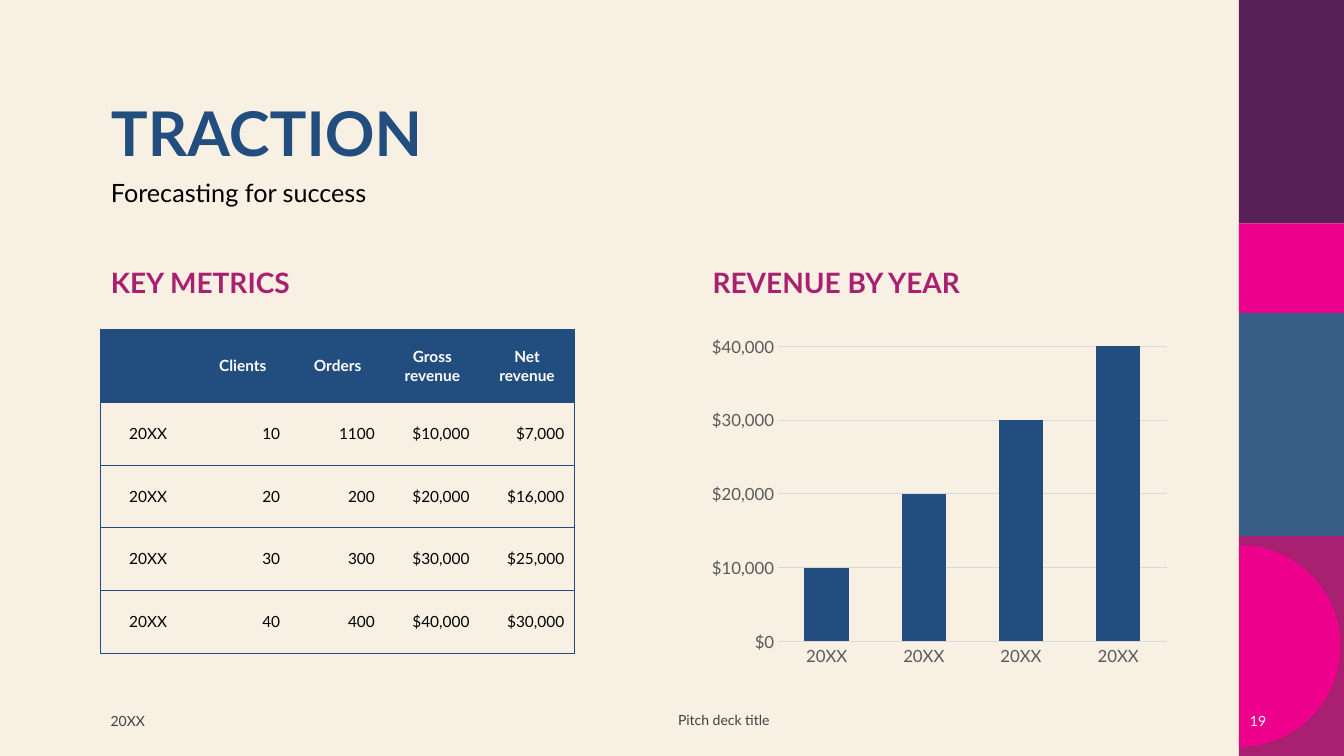
import math

from lxml import etree
from pptx import Presentation
from pptx.chart.data import CategoryChartData
from pptx.dml.color import RGBColor
from pptx.enum.chart import XL_CHART_TYPE, XL_TICK_MARK
from pptx.enum.shapes import MSO_SHAPE
from pptx.enum.text import MSO_ANCHOR, MSO_AUTO_SIZE, PP_ALIGN
from pptx.oxml.ns import qn
from pptx.util import Pt

COLUMNS = XL_CHART_TYPE.COLUMN_CLUSTERED
NO_TICK = XL_TICK_MARK.NONE
RECTANGLE = MSO_SHAPE.RECTANGLE
TOP, MIDDLE = MSO_ANCHOR.TOP, MSO_ANCHOR.MIDDLE
NO_AUTOFIT = MSO_AUTO_SIZE.NONE
LEFT, CENTER, RIGHT = PP_ALIGN.LEFT, PP_ALIGN.CENTER, PP_ALIGN.RIGHT

FONT = "Lato"
COLORS = {
    "cream": "F8F0E3",
    "navy": "224E7F",
    "blue": "385E88",
    "plum": "582156",
    "pink": "EC008C",
    "berry": "AA2070",
    "black": "000000",
    "white": "FFFFFF",
    "footer": "404040",
    "axis": "595959",
    "grid": "D9D9D9",
}
METRICS = [
    ["", "Clients", "Orders", "Gross revenue", "Net revenue"],
    ["20XX", "10", "1100", "$10,000", "$7,000"],
    ["20XX", "20", "200", "$20,000", "$16,000"],
    ["20XX", "30", "300", "$30,000", "$25,000"],
    ["20XX", "40", "400", "$40,000", "$30,000"],
]
REVENUE = [10000, 20000, 30000, 40000]


def color(name):
    return RGBColor.from_string(COLORS[name])


class SlideBuilder:
    def __init__(self, slide):
        self.slide = slide
        fill = slide.background.fill
        fill.solid()
        fill.fore_color.rgb = color("cream")

    def style_font(self, font, size, name, bold=False):
        font.name = FONT
        font.size = Pt(size)
        font.bold = bold
        font.color.rgb = color(name)

    def set_text(self, frame, text, size, name, bold=False, align=LEFT):
        frame.text = text
        paragraph = frame.paragraphs[0]
        paragraph.alignment = align
        for run in paragraph.runs:
            self.style_font(run.font, size, name, bold)
        return paragraph

    def fit_frame(self, frame, anchor):
        frame.word_wrap = True
        frame.auto_size = NO_AUTOFIT
        frame.vertical_anchor = anchor

    def placeholder(self, index, box, text, size, name, bold=True, anchor=MIDDLE):
        shape = self.slide.placeholders[index]
        shape.left, shape.top, shape.width, shape.height = map(Pt, box)
        self.fit_frame(shape.text_frame, anchor)
        paragraph = self.set_text(shape.text_frame, text, size, name, bold)
        paragraph.line_spacing = 0.9
        paragraph.space_before = Pt(0 if index == 0 else 10)
        properties = paragraph._p.get_or_add_pPr()
        properties.set("marL", "0")
        properties.set("indent", "0")
        etree.SubElement(properties, qn("a:buNone"))

    def text_box(self, box, text, name, align):
        shape = self.slide.shapes.add_textbox(*map(Pt, box))
        self.fit_frame(shape.text_frame, MIDDLE)
        self.set_text(shape.text_frame, text, 10, name, align=align)

    def paint(self, shape, name):
        shape.shadow.inherit = False
        shape.fill.solid()
        shape.fill.fore_color.rgb = color(name)
        shape.line.fill.background()

    def block(self, box, name):
        self.paint(self.slide.shapes.add_shape(RECTANGLE, *map(Pt, box)), name)

    def half_disc(self, left, middle, radius, name, steps=60):
        angles = [math.pi * (step / steps - 0.5) for step in range(steps + 1)]
        points = [
            (Pt(left + radius * math.cos(angle)), Pt(middle + radius * math.sin(angle)))
            for angle in angles
        ]
        builder = self.slide.shapes.build_freeform(*points[0])
        builder.add_line_segments(points[1:], close=True)
        self.paint(builder.convert_to_shape(), name)

    def border(self, cell, side, visible):
        line = etree.SubElement(cell._tc.get_or_add_tcPr(), qn(f"a:ln{side}"))
        line.set("w", str(Pt(0.5)))
        if visible:
            fill = etree.SubElement(line, qn("a:solidFill"))
            etree.SubElement(fill, qn("a:srgbClr")).set("val", COLORS["navy"])
        else:
            etree.SubElement(line, qn("a:noFill"))

    def table(self, box, rows, header_height):
        row_count, column_count = len(rows), len(rows[0])
        body_height = (box[3] - header_height) / (row_count - 1)
        table = self.slide.shapes.add_table(row_count, column_count, *map(Pt, box)).table
        table.horz_banding = False
        for column in table.columns:
            column.width = Pt(box[2] / column_count)
        for row_index, values in enumerate(rows):
            header = row_index == 0
            table.rows[row_index].height = Pt(header_height if header else body_height)
            for column_index, value in enumerate(values):
                cell = table.cell(row_index, column_index)
                align = CENTER if header or column_index == 0 else RIGHT
                name = "white" if header else "black"
                self.set_text(cell.text_frame, value, 11, name, header, align)
                cell.vertical_anchor = MIDDLE
                self.border(cell, "L", column_index == 0)
                self.border(cell, "R", column_index == column_count - 1)
                self.border(cell, "T", True)
                self.border(cell, "B", True)
                if header:
                    cell.fill.solid()
                    cell.fill.fore_color.rgb = color("navy")
                else:
                    cell.fill.background()

    def column_chart(self, box, categories, values):
        data = CategoryChartData()
        data.categories = categories
        data.add_series("Series 1", values)
        chart = self.slide.shapes.add_chart(COLUMNS, *map(Pt, box), data).chart
        chart.has_legend = False
        chart.has_title = False
        self.style_font(chart.font, 10, "black")

        plot = chart.plots[0]
        plot.vary_by_categories = False
        plot.gap_width = 118
        plot.overlap = -3
        fill = plot.series[0].format.fill
        fill.solid()
        fill.fore_color.rgb = color("navy")

        category_axis, value_axis = chart.category_axis, chart.value_axis
        for axis in (category_axis, value_axis):
            axis.major_tick_mark = NO_TICK
            axis.minor_tick_mark = NO_TICK
            self.style_font(axis.tick_labels.font, 12, "axis")
        value_axis.minimum_scale = 0
        value_axis.maximum_scale = 40000
        value_axis.major_unit = 10000
        value_axis.tick_labels.number_format = "[$$-409]#,##0"
        value_axis.tick_labels.number_format_is_linked = False
        value_axis.format.line.fill.background()
        for line in (category_axis.format.line, value_axis.major_gridlines.format.line):
            line.color.rgb = color("grid")
            line.width = Pt(0.75)


def main():
    presentation = Presentation()
    presentation.slide_width, presentation.slide_height = Pt(960), Pt(540)
    slide = presentation.slides.add_slide(presentation.slide_layouts[4])
    unused = slide.placeholders[4]._element
    unused.getparent().remove(unused)
    builder = SlideBuilder(slide)

    band_left, band_top = 885, 0
    for name, height in (("plum", 159.5), ("pink", 64), ("blue", 159.5), ("berry", 157)):
        builder.block((band_left, band_top, 960 - band_left, height), name)
        band_top += height
    builder.half_disc(885.5, 461.5, 72, "pink")

    left, right, width = 72, 501.8, 338.4
    builder.placeholder(0, (left, 70.5, 718.5, 104.5), "TRACTION", 44, "navy", anchor=TOP)
    builder.placeholder(2, (left, 125.3, 718.5, 47.5), "Forecasting for success", 18, "black", False, TOP)
    builder.placeholder(1, (left, 185.5, width, 36), "KEY METRICS", 20, "berry")
    builder.placeholder(3, (right, 185.5, width, 36), "REVENUE BY YEAR", 20, "berry")

    builder.table((left, 235.4, width, 231), METRICS, 52)
    builder.column_chart((right, 235.4, width, 244.8), [row[0] for row in METRICS[1:]], REVENUE)

    builder.text_box((left, 500.4, 86.4, 28.8), "20XX", "footer", LEFT)
    builder.text_box((427, 499.7, 180, 28.8), "Pitch deck title", "footer", CENTER)
    builder.text_box((875.5, 500.4, 36, 28.8), "19", "white", RIGHT)
    presentation.save("out.pptx")


if __name__ == "__main__":
    main()
